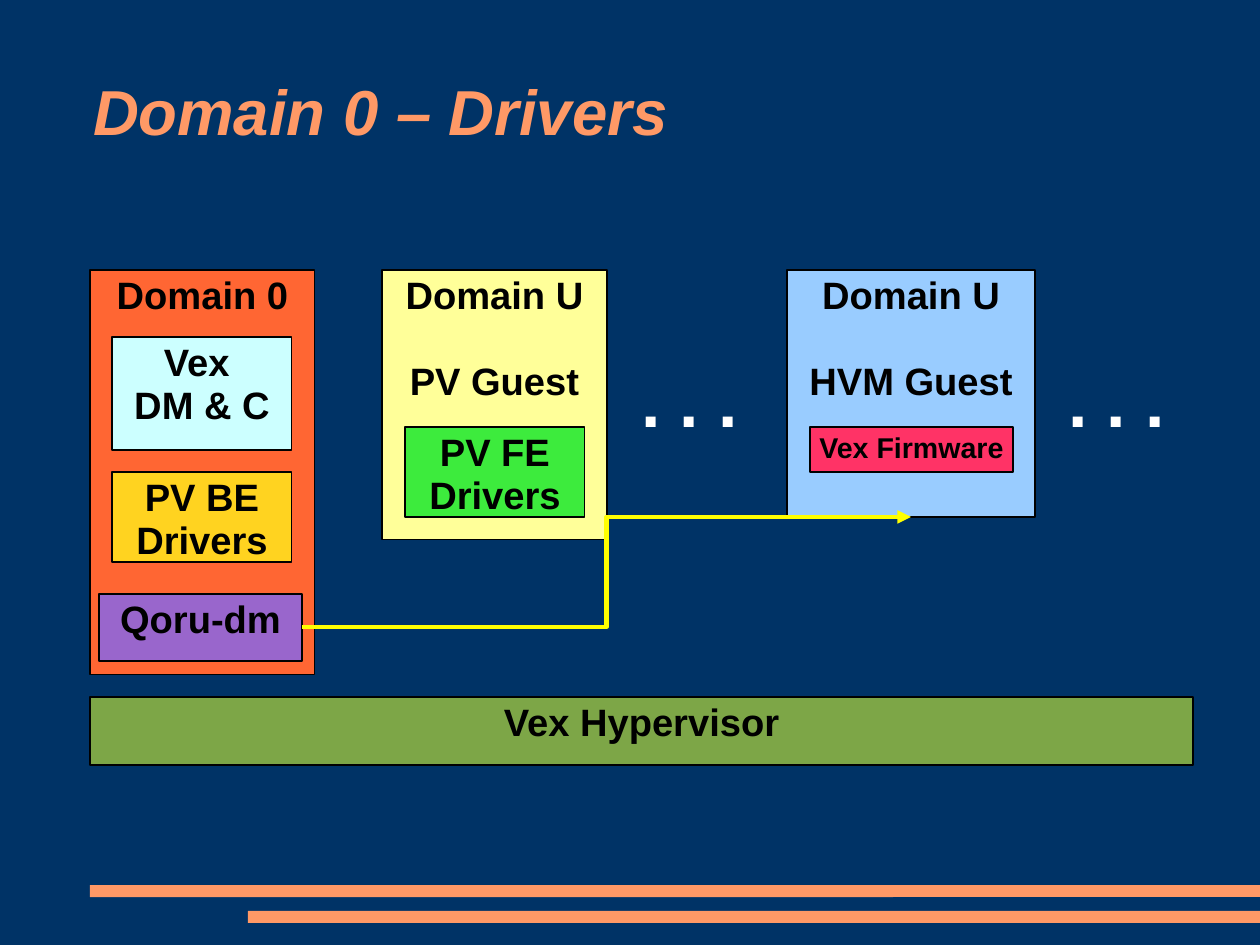
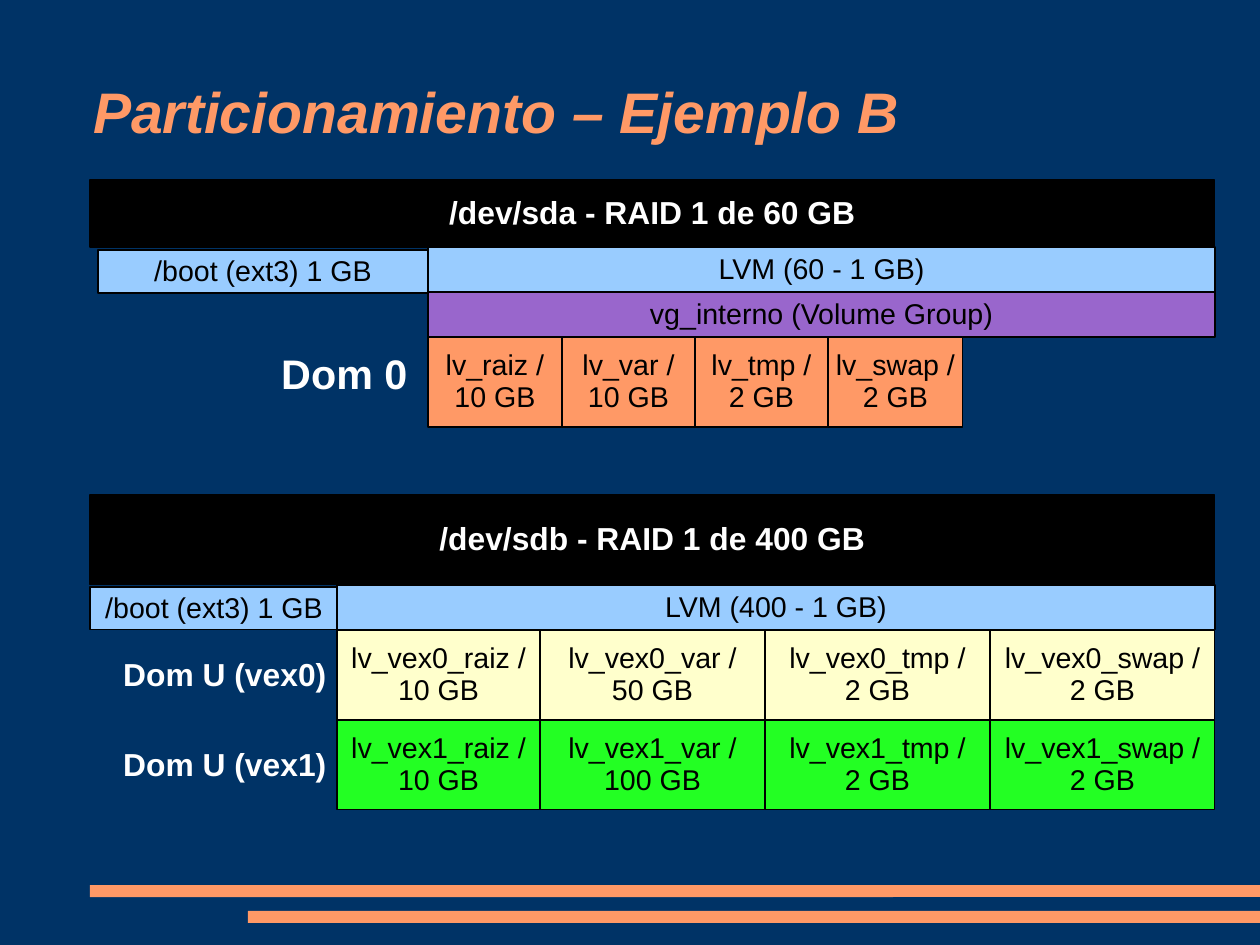
from lxml import etree
from pptx import Presentation
from pptx import util as u
from pptx.dml.color import RGBColor
from pptx.enum import shapes, text
from pptx.oxml.ns import qn

PX = 8000  # EMU in one px
WIDTH, HEIGHT = 1260, 945
FONT = "Arial"
LINE_SPACING = 0.93
TOP, MIDDLE = text.MSO_ANCHOR.TOP, text.MSO_ANCHOR.MIDDLE
LEFT, CENTER = text.PP_ALIGN.LEFT, text.PP_ALIGN.CENTER

# Shared colours
NAVY, SALMON, BLACK, WHITE = "003366", "FF9966", "000000", "FFFFFF"
SKY, PURPLE, YELLOW = "99CCFF", "9966CC", "FFFF00"


def px(*lengths):
    return [u.Emu(length * PX) for length in lengths]


def paint(color_format, hex_color):
    color_format.rgb = RGBColor.from_string(hex_color)


def fill(target, hex_color):
    target.fill.solid()
    paint(target.fill.fore_color, hex_color)


def write(frame, paragraphs, size, color, bold=False, italic=False,
          align=LEFT, gap=0):
    """Write paragraphs, with a gap in points between them; \\n breaks a line."""
    for index, content in enumerate(paragraphs):
        paragraph = frame.add_paragraph() if index else frame.paragraphs[0]
        paragraph.alignment = align
        paragraph.line_spacing = LINE_SPACING
        paragraph.space_before = u.Pt(gap if index else 0)
        for number, line in enumerate(content.split("\n")):
            if number:
                paragraph.add_line_break()
            run = paragraph.add_run()
            run.text = line
            run.font.name, run.font.size = FONT, u.Pt(size)
            run.font.bold, run.font.italic = bold, italic
            paint(run.font.color, color)


def add_box(slide, place, color, paragraphs, size=18, ink=BLACK, bold=False,
            anchor=MIDDLE, gap=0):
    box = slide.shapes.add_shape(shapes.MSO_SHAPE.RECTANGLE, *px(*place))
    box.shadow.inherit = False
    fill(box, color)
    paint(box.line.color, BLACK)
    box.line.width = u.Pt(0.75)
    box.text_frame.word_wrap = False
    box.text_frame.vertical_anchor = anchor
    write(box.text_frame, paragraphs, size, ink, bold, align=CENTER, gap=gap)


def add_label(slide, place, content, size):
    label = slide.shapes.add_textbox(*px(*place))
    label.text_frame.word_wrap = True
    write(label.text_frame, [content], size, WHITE, bold=True)


def add_volumes(slide, left, top, widths, color, volumes):
    """A row of touching boxes, one for each logical volume."""
    for width, (name, capacity) in zip(widths, volumes):
        add_box(slide, (left, top, width, 90), color, [f"{name} /", capacity])
        left += width


def add_elbow_arrow(slide, start, end, color):
    arrow = slide.shapes.add_connector(
        shapes.MSO_CONNECTOR.ELBOW, *px(*start, *end))
    paint(arrow.line.color, color)
    arrow.line.width = u.Pt(2.83)
    properties = arrow.element.spPr
    etree.SubElement(properties.find(qn("a:ln")), qn("a:tailEnd"),
                     type="triangle")
    etree.SubElement(properties, qn("a:effectLst"))


def add_titled_slide(deck, heading, size):
    slide = deck.slides.add_slide(deck.slide_layouts.get_by_name("Title Only"))
    # Footer bars, both running to the right edge
    for left, top in ((90, 885), (248, 911)):
        bar = slide.shapes.add_shape(shapes.MSO_SHAPE.ROUNDED_RECTANGLE,
                                     *px(left, top, WIDTH - left, 12))
        bar.adjustments[0] = 0.02
        bar.shadow.inherit = False
        fill(bar, SALMON)
        bar.line.fill.background()
    # Title
    title = slide.shapes.title
    title.left, title.top, title.width, title.height = px(93, 35, 1076, 158)
    frame = title.text_frame
    frame.margin_left = frame.margin_right = 0
    frame.margin_top = frame.margin_bottom = 0
    frame.vertical_anchor = MIDDLE
    frame.auto_size = text.MSO_AUTO_SIZE.NONE
    write(frame, [heading], size, SALMON, bold=True, italic=True)
    return slide


def build_drivers(deck):
    slide = add_titled_slide(deck, "Domain 0 – Drivers", 40)
    # Domains, the hypervisor below them, then the parts inside the domains
    for place, color, paragraphs, size in (
        ((90, 270, 225, 405), "FF6633", ["Domain 0"], 24),
        ((90, 697, 1103, 68), "7DA647", ["Vex Hypervisor"], 24),
        ((382, 270, 225, 270), "FFFF99", ["Domain U", "PV Guest"], 24),
        ((787, 270, 248, 247), SKY, ["Domain U", "HVM Guest"], 24),
        ((112, 337, 180, 113), "CCFFFF", ["Vex \nDM & C"], 24),
        ((112, 472, 180, 90), "FFD320", ["PV BE\nDrivers"], 24),
        ((99, 594, 203, 67), PURPLE, ["Qoru-dm"], 24),
        ((405, 427, 180, 90), "3DEB3D", ["PV FE\nDrivers"], 24),
        ((810, 427, 203, 45), "FF3366", ["Vex Firmware"], 18),
    ):
        add_box(slide, place, color, paragraphs, size, bold=True,
                anchor=TOP, gap=27)
    # More guests of each kind
    for left in (630, 1057):
        add_label(slide, (left, 360, 135, 90), ". . .", 44)
    add_elbow_arrow(slide, (302, 627), (911, 517), YELLOW)


def build_partitions(deck):
    slide = add_titled_slide(deck, "Particionamiento – Ejemplo B", 36)
    # Disks
    for top, height, disk in ((180, 67, "/dev/sda - RAID 1 de 60 GB"),
                              (495, 90, "/dev/sdb - RAID 1 de 400 GB")):
        add_box(slide, (90, top, 1125, height), BLACK, [disk], 20, WHITE, True)
    # Partitions and the volume group
    for place, color, content in (
        ((98, 250, 330, 43), SKY, "/boot (ext3) 1 GB"),
        ((428, 247, 787, 45), SKY, "LVM (60 - 1 GB)"),
        ((428, 292, 787, 45), PURPLE, "vg_interno (Volume Group)"),
        ((90, 587, 248, 43), SKY, "/boot (ext3) 1 GB"),
        ((337, 585, 878, 45), SKY, "LVM (400 - 1 GB)"),
    ):
        add_box(slide, place, color, [content])
    # Logical volumes of Dom 0
    names = ("raiz", "var", "tmp", "swap")
    add_label(slide, (270, 347, 158, 57), "Dom 0", 26)
    add_volumes(slide, 428, 337, (134, 133, 133, 135), SALMON,
                zip([f"lv_{name}" for name in names],
                    ("10 GB", "10 GB", "2 GB", "2 GB")))
    # Logical volumes of each Dom U
    for index, (color, var_size) in enumerate((("FFFFCC", "50 GB"),
                                               ("23FF23", "100 GB"))):
        top = 630 + 90 * index
        add_label(slide, (112, top + 23, 270, 47), f"Dom U (vex{index})", 20)
        add_volumes(slide, 337, top, (203, 225, 225, 225), color,
                    zip([f"lv_vex{index}_{name}" for name in names],
                        ("10 GB", var_size, "2 GB", "2 GB")))


def main():
    deck = Presentation()
    deck.slide_width, deck.slide_height = px(WIDTH, HEIGHT)
    fill(deck.slide_master.background, NAVY)
    build_drivers(deck)
    build_partitions(deck)
    deck.save("out.pptx")


if __name__ == "__main__":
    main()
